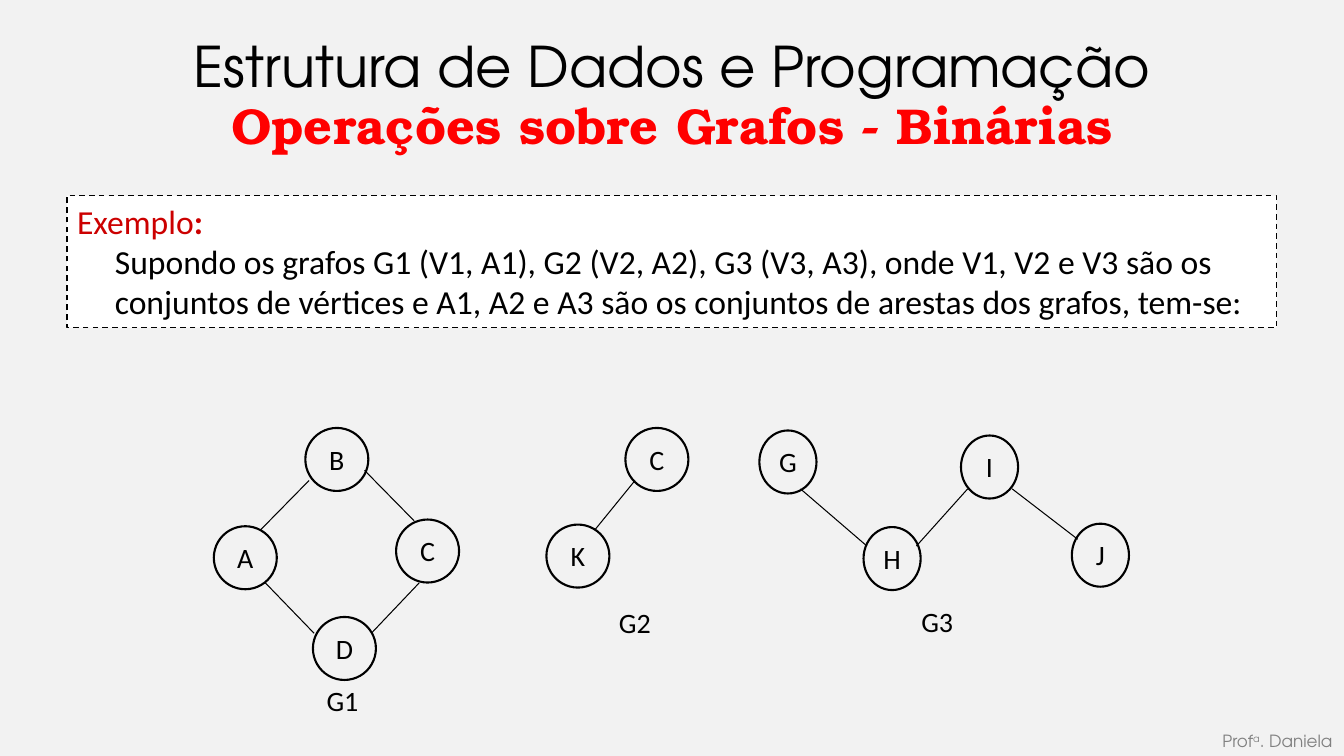
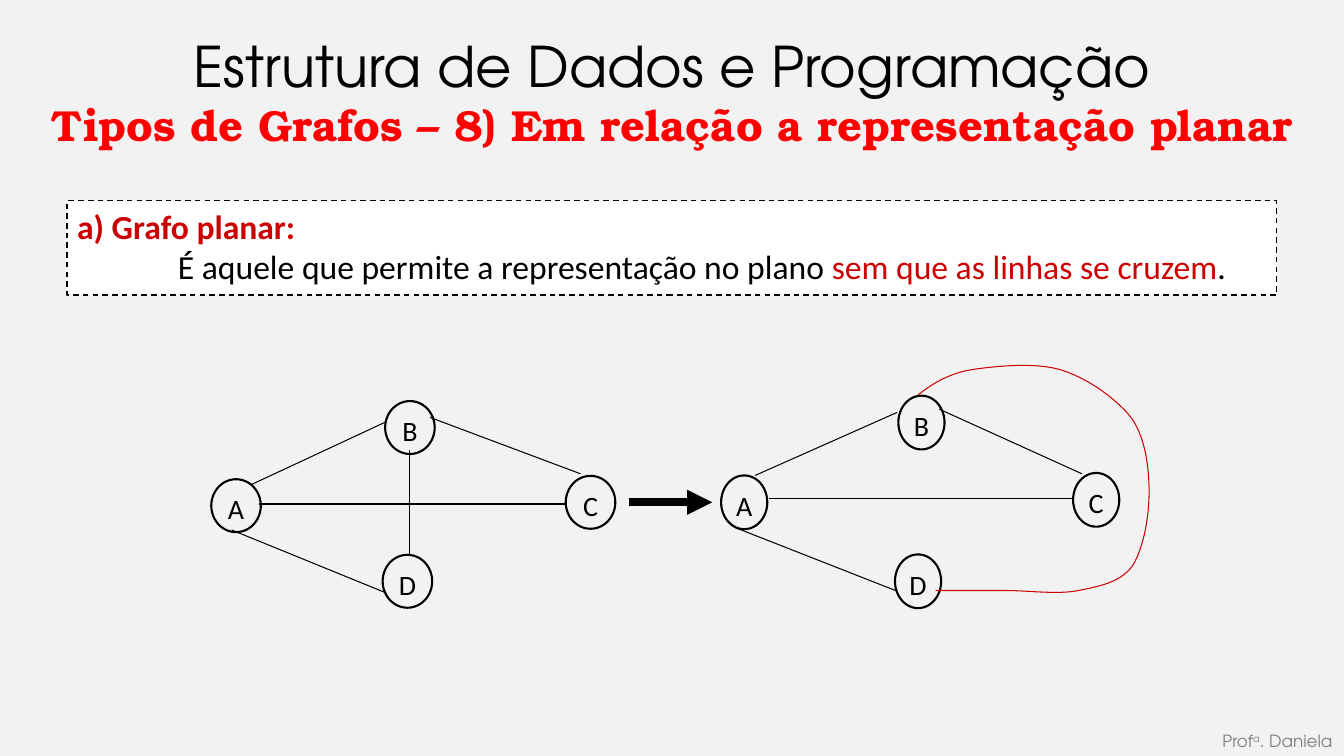
from lxml.etree import SubElement
from pptx import Presentation
from pptx.dml.color import RGBColor
from pptx.enum.dml import MSO_LINE
from pptx.enum.shapes import MSO_CONNECTOR as Connector, MSO_SHAPE as Shape
from pptx.enum.text import MSO_ANCHOR as Anchor, PP_ALIGN as Align
from pptx.oxml.ns import qn
from pptx.util import Inches, Pt

COLUMNS, ROWS = 160, 90
COLORS = {
    "background": "F2F2F2",
    "paper": "FFFFFF",
    "ink": "000000",
    "subtitle": "FF0000",
    "accent": "CC0000",
    "footer": "808080",
}
BODY, HEADING, SUBTITLE = "Calibri", "TeX Gyre Adventor", "TeX Gyre Bonum"


def color(name):
    return RGBColor.from_string(COLORS[name])


def bezier_points(start, curves, steps=12):
    """Points along a chain of cubic curves, each given as (control, control, end)."""
    points = [start]
    for first, second, end in curves:
        for step in range(1, steps + 1):
            t = step / steps
            weights = ((1 - t) ** 3, 3 * t * (1 - t) ** 2, 3 * t * t * (1 - t), t ** 3)
            corners = (start, first, second, end)
            points.append(tuple(
                sum(weight * corner[axis] for weight, corner in zip(weights, corners))
                for axis in (0, 1)))
        start = end
    return points


class Deck:
    """Shared style and current slide; positions are columns and rows of the grid."""

    def __init__(self):
        self.presentation = Presentation()
        self.presentation.slide_width = Inches(13.33)
        self.presentation.slide_height = Inches(7.5)
        fill = self.presentation.slide_master.background.fill
        fill.solid()
        fill.fore_color.rgb = color("background")
        self.slide = None

    def x(self, columns):
        return round(self.presentation.slide_width * columns / COLUMNS)

    def y(self, rows):
        return round(self.presentation.slide_height * rows / ROWS)

    def box(self, left, top, width, height):
        return self.x(left), self.y(top), self.x(width), self.y(height)

    def add_slide(self, subtitle, size):
        self.slide = self.presentation.slides.add_slide(self.presentation.slide_layouts[6])
        self.text((8, 0.2, 144, 15), [("Estrutura de Dados e Programação", "ink", False)],
                  40, HEADING, Align.CENTER, Anchor.MIDDLE)
        self.text((3, 11, 154, 7.5), [(subtitle, "subtitle", True)],
                  size, SUBTITLE, Align.CENTER, Anchor.MIDDLE)
        author = [(part, "footer", False) for part in ("Prof", "a", ". Daniela")]
        footer = self.text((117, 86.4, 42.8, 3.6), author, 12, HEADING, Align.RIGHT)
        superscript = footer.paragraphs[0].runs[1]
        superscript.font._element.set("baseline", "30000")

    def add_runs(self, paragraph, runs, size, font=BODY, align=Align.LEFT):
        paragraph.alignment = align
        for text, tint, bold in runs:
            run = paragraph.add_run()
            run.text = text
            run.font.name = font
            run.font.size = Pt(size)
            run.font.bold = bold
            run.font.color.rgb = color(tint)

    def text(self, place, runs, size, font=BODY, align=Align.LEFT, anchor=Anchor.TOP,
             wrap=True):
        frame = self.slide.shapes.add_textbox(*self.box(*place)).text_frame
        frame.word_wrap = wrap
        frame.vertical_anchor = anchor
        self.add_runs(frame.paragraphs[0], runs, size, font, align)
        return frame

    def style_line(self, line, width, tint="ink"):
        line.color.rgb = color(tint)
        line.width = Pt(width)

    def panel(self, top, height, heading, body, indent):
        """Dashed box with a heading and an indented body."""
        shape = self.slide.shapes.add_shape(Shape.RECTANGLE, *self.box(8, top, 144, height))
        shape.shadow.inherit = False
        shape.fill.solid()
        shape.fill.fore_color.rgb = color("paper")
        self.style_line(shape.line, 1)
        shape.line.dash_style = MSO_LINE.DASH
        frame = shape.text_frame
        frame.word_wrap = True
        frame.vertical_anchor = Anchor.TOP
        self.add_runs(frame.paragraphs[0], heading, 24)
        paragraph = frame.add_paragraph()
        self.add_runs(paragraph, body, 24)
        paragraph._p.get_or_add_pPr().set("marL", str(self.x(indent)))

    def node(self, letter, center, size):
        (column, row), (width, height) = center, size
        place = self.box(column - width / 2, row - height / 2, width, height)
        shape = self.slide.shapes.add_shape(Shape.OVAL, *place)
        shape.shadow.inherit = False
        shape.fill.background()
        self.style_line(shape.line, 1.5)
        frame = shape.text_frame
        frame.margin_left = frame.margin_right = 0
        frame.vertical_anchor = Anchor.TOP
        self.add_runs(frame.paragraphs[0], [(letter, "ink", False)], 20, align=Align.CENTER)

    def line(self, x1, y1, x2, y2, width=0.75, arrow=False):
        connector = self.slide.shapes.add_connector(
            Connector.STRAIGHT, self.x(x1), self.y(y1), self.x(x2), self.y(y2))
        self.style_line(connector.line, width)
        if arrow:
            SubElement(connector.line._get_or_add_ln(), qn("a:tailEnd"), type="triangle")
        SubElement(connector._element.spPr, qn("a:effectLst"))

    def graph(self, size, nodes, edges):
        for letter, center in nodes.items():
            self.node(letter, center, size)
        for edge in edges:
            self.line(*edge)

    def caption(self, text, left, top):
        self.text((left, top, 6.2, 5.3), [(text, "ink", False)], 20, wrap=False)

    def curve(self, points, tint):
        corners = [(self.x(column), self.y(row)) for column, row in points]
        builder = self.slide.shapes.build_freeform(*corners[0])
        builder.add_line_segments(corners[1:], close=False)
        shape = builder.convert_to_shape()
        shape.shadow.inherit = False
        shape.fill.background()
        self.style_line(shape.line, 0.75, tint)


def binary_operations(deck):
    deck.add_slide("Operações sobre Grafos - Binárias", 36)
    deck.panel(23.3, 15.7, [("Exemplo", "accent", False), (":", "accent", True)], [
        ("Supondo os grafos G1 (V1, A1), G2 (V2, A2), G3 (V3, A3), onde V1, V2 e V3 são os "
         "conjuntos de vértices e A1, A2 e A3 são os conjuntos de arestas dos grafos, "
         "tem-se:", "ink", False)], 4.5)
    deck.graph((7.5, 7.5),
               {"B": (40.1, 54.7), "C": (50.9, 65.6), "A": (29.2, 66.4), "D": (41, 77.2)},
               [(43.4, 56, 49.3, 62), (49.9, 69.4, 44.2, 75.4),
                (37.4, 75.4, 31.6, 69.4), (31, 63.1, 36.8, 57.2)])
    deck.graph((7.5, 7.5), {"C": (78.2, 54.7), "K": (68.8, 66.2)},
               [(75.6, 57.2, 70.8, 63.1)])
    deck.graph((6.8, 7.5),
               {"I": (117.8, 55.6), "G": (93.8, 55), "H": (106.2, 66.5), "J": (131, 66.1)},
               [(95.3, 58.2, 103.2, 65), (109.1, 65, 115.2, 58.2),
                (120.5, 58.2, 128.3, 64.2)])
    deck.caption("G1", 37.7, 80.8)
    deck.caption("G2", 72.5, 71.5)
    deck.caption("G3", 108.5, 71.4)


def planar_graph(deck):
    deck.add_slide("Tipos de Grafos – 8) Em relação a representação planar", 31)
    deck.panel(23.9, 11.2, [("a) Grafo planar:", "accent", True)], [
        ("É aquele que permite a representação no plano ", "ink", False),
        ("sem que as linhas se cruzem", "accent", False),
        (".", "ink", False)], 12)
    deck.graph((5.9, 6.3),
               {"B": (48.8, 50.9), "A": (28.1, 60.2), "D": (48.5, 69.2), "C": (70.3, 59.8)},
               [(29.9, 57.7, 46, 50.2), (27.6, 63.1, 46, 70.6), (51.2, 49.7, 69.1, 56.4),
                (30.8, 60, 67.4, 60), (48.7, 53.6, 48.7, 66.1)])
    deck.line(74.9, 59.8, 84.8, 59.8, width=6, arrow=True)
    deck.graph((5.5, 6.4),
               {"A": (88.6, 59.8), "D": (109.3, 69.2), "B": (109.7, 50.3), "C": (130.5, 59.5)},
               [(106.8, 49.1, 89.9, 56.6), (111.8, 48.7, 128.8, 56.4),
                (87.5, 62.8, 106.6, 70.3), (91.6, 59.4, 127.6, 59.4)])
    detour = bezier_points((109.3, 47), [
        ((111, 45.7), (112.8, 44.5), (115.7, 44)),
        ((118.4, 43.6), (123.1, 43.1), (126.2, 44)),
        ((129.5, 45), (133, 47.5), (134.8, 49.9)),
        ((136.4, 52.3), (136.8, 55.7), (136.8, 58.7)),
        ((136.8, 61.6), (136.1, 65.4), (134.8, 67.4)),
        ((133.3, 69.4), (130.8, 69.8), (128.4, 70.3)),
        ((125.9, 70.8), (122.4, 70.3), (119.9, 70.3)),
    ])
    deck.curve(detour + [(111.4, 70.3)], "accent")


def main():
    deck = Deck()
    binary_operations(deck)
    planar_graph(deck)
    deck.presentation.save("out.pptx")


if __name__ == "__main__":
    main()
